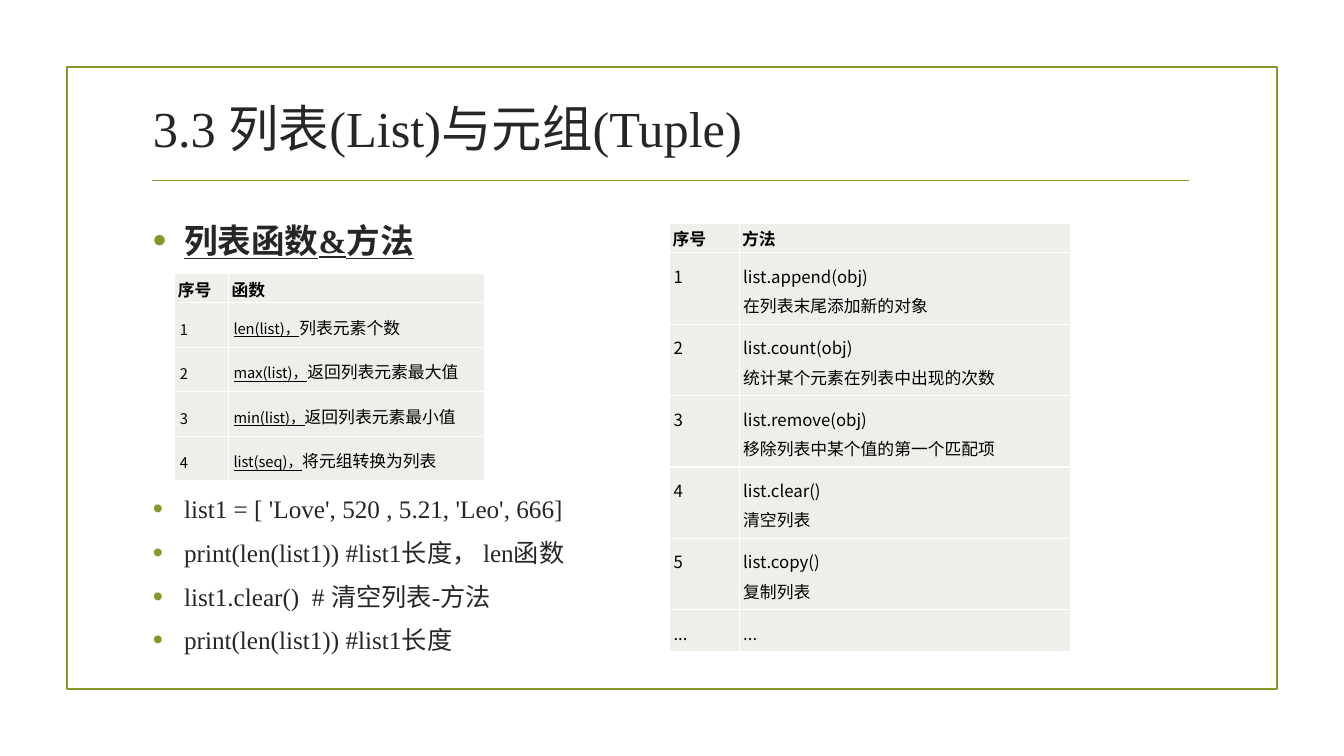
from lxml import etree
from pptx import Presentation
from pptx.dml.color import RGBColor
from pptx.enum.shapes import MSO_CONNECTOR, MSO_SHAPE
from pptx.enum.text import MSO_ANCHOR
from pptx.oxml.ns import qn
from pptx.util import Emu, Inches, Pt

RECTANGLE = MSO_SHAPE.RECTANGLE
STRAIGHT = MSO_CONNECTOR.STRAIGHT
MIDDLE = MSO_ANCHOR.MIDDLE
TOP = MSO_ANCHOR.TOP

COLUMNS, ROWS = 80, 45
GREEN, INK, BLACK, WHITE, PALE = "83992A", "262626", "000000", "FFFFFF", "EDEFE8"
SERIF, SANS = "Times New Roman", "Noto Sans CJK SC"


def color(value):
    return RGBColor.from_string(value)


class SlideBuilder:
    """Places styled elements on a grid of 80 columns by 45 rows."""

    def __init__(self, deck):
        self.deck = deck
        self.page = deck.slides.add_slide(deck.slide_layouts[6])

    def x(self, columns):
        return Emu(round(self.deck.slide_width * columns / COLUMNS))

    def y(self, rows):
        return Emu(round(self.deck.slide_height * rows / ROWS))

    def area(self, left, top, width, height):
        return self.x(left), self.y(top), self.x(width), self.y(height)

    def outline(self, line):
        line.color.rgb = color(GREEN)
        line.width = Pt(1.25)

    def frame(self, *area):
        box = self.page.shapes.add_shape(RECTANGLE, *self.area(*area))
        box.shadow.inherit = False
        box.fill.background()
        self.outline(box.line)

    def rule(self, left, right, row):
        rule = self.page.shapes.add_connector(
            STRAIGHT, self.x(left), self.y(row), self.x(right), self.y(row))
        self.outline(rule.line)
        etree.SubElement(rule.element.spPr, qn("a:effectLst"))

    def style(self, font, size, face, ink, bold, underline):
        font.size, font.name = Pt(size), face
        font.bold, font.underline = bold, underline
        font.color.rgb = color(ink)

    def add_words(self, para, text, size, face=SERIF, ink=INK, bold=False, underline=False):
        """Adds text to a paragraph, with a line break at each newline."""
        look = (size, face, ink, bold, underline)
        self.style(para.font, *look)
        for index, line in enumerate(text.split("\n")):
            if index:
                para.add_line_break()
            span = para.add_run()
            span.text = line
            self.style(span.font, *look)
            east_asian = etree.Element(qn("a:ea"), typeface=SANS)
            span.font._element.find(qn("a:latin")).addnext(east_asian)

    def bullet(self, para):
        props = para._p.get_or_add_pPr()
        indent = Inches(0.31)
        props.set("marL", str(indent))
        props.set("indent", str(-indent))
        tint = etree.SubElement(props, qn("a:buClr"))
        etree.SubElement(tint, qn("a:srgbClr"), val=GREEN)
        etree.SubElement(props, qn("a:buSzPct"), val="115000")
        etree.SubElement(props, qn("a:buFont"), typeface="Arial")
        etree.SubElement(props, qn("a:buChar"), char="•")

    def text(self, area, lines, size, bulleted=True, pitch=None, gap=0,
             anchor=TOP, **look):
        frame = self.page.shapes.add_textbox(*self.area(*area)).text_frame
        frame.word_wrap = True
        frame.vertical_anchor = anchor
        frame.margin_left = frame.margin_right = 0
        frame.margin_top = frame.margin_bottom = 0
        for index, line in enumerate(lines):
            para = frame.add_paragraph() if index else frame.paragraphs[0]
            if bulleted:
                self.bullet(para)
            if pitch:
                para.line_spacing = Pt(pitch)
            para.space_after = Pt(gap)
            self.add_words(para, line, size, **look)

    def borders(self, cell):
        props = cell._tc.get_or_add_tcPr()
        for index, side in enumerate(("lnL", "lnR", "lnT", "lnB")):
            line = etree.Element(qn(f"a:{side}"), w=str(Pt(1)))
            fill = etree.SubElement(line, qn("a:solidFill"))
            etree.SubElement(fill, qn("a:srgbClr"), val=WHITE)
            props.insert(index, line)

    def table(self, left, top, widths, heights, header, body, insets):
        """Each body cell is a list of (text, size, underline) spans."""
        records = [[[(title, 12, False)] for title in header]] + body
        table = self.page.shapes.add_table(
            len(records), len(widths),
            *self.area(left, top, sum(widths), sum(heights))).table
        table.first_row = table.horz_banding = False
        for column, width in zip(table.columns, widths):
            column.width = self.x(width)
        for number, (row, height, record) in enumerate(zip(table.rows, heights, records)):
            row.height = self.y(height)
            side, edge = insets if number else (0.03, 0.03)
            for cell, spans in zip(row.cells, record):
                cell.margin_left = cell.margin_right = Inches(side)
                cell.margin_top = cell.margin_bottom = Inches(edge)
                cell.fill.solid()
                cell.fill.fore_color.rgb = color(PALE)
                self.borders(cell)
                para = cell.text_frame.paragraphs[0]
                if number:
                    para.line_spacing = Pt(21)
                for text, size, underline in spans:
                    self.add_words(para, text, size, SANS, BLACK, number == 0, underline)


def main():
    deck = Presentation()
    deck.slide_width, deck.slide_height = Inches(13.33), Inches(7.5)
    slide = SlideBuilder(deck)

    # Frame, title and rule
    slide.frame(4, 4, 72, 37)
    slide.rule(9.05, 70.8, 10.75)
    slide.text((9.1, 5.3, 61.8, 4.5), ["3.3 列表(List)与元组(Tuple)"], 36,
               bulleted=False, anchor=MIDDLE)

    # Heading and code lines
    slide.text((9.1, 13.15, 29, 2.5), ["列表函数&方法"], 24, pitch=28,
               bold=True, underline=True)
    slide.text((9.1, 29.35, 29, 11), [
        "list1 = [ 'Love', 520 , 5.21, 'Leo', 666]",
        "print(len(list1)) #list1长度， len函数",
        "list1.clear()  # 清空列表-方法",
        "print(len(list1)) #list1长度",
    ], 18, pitch=22, gap=9.2)

    # Table of functions
    functions = [("len(list)", "列表元素个数"), ("max(list)", "返回列表元素最大值"),
                 ("min(list)", "返回列表元素最小值"), ("list(seq)", "将元组转换为列表")]
    function_rows = [
        [[(str(number), 10.5, False)], [(f"{call}，", 10.5, True), (effect, 12, False)]]
        for number, (call, effect) in enumerate(functions, 1)]
    slide.table(10.4, 16.28, [3.2, 15.25], [1.75] + [2.65] * 4,
                ["序号", "函数"], function_rows, (0.05, 0.07))

    # Table of methods
    methods = [("append(obj)", "在列表末尾添加新的对象"),
               ("count(obj)", "统计某个元素在列表中出现的次数"),
               ("remove(obj)", "移除列表中某个值的第一个匹配项"),
               ("clear()", "清空列表"), ("copy()", "复制列表")]
    method_rows = [
        [[(str(number), 12, False)], [(f"list.{call}\n{effect}", 12, False)]]
        for number, (call, effect) in enumerate(methods, 1)]
    method_rows.append([[("...", 12, False)]] * 2)
    slide.table(39.85, 13.3, [4.15, 19.7], [1.75] + [4.25] * 5 + [2.45],
                ["序号", "方法"], method_rows, (0.04, 0.06))

    deck.save("out.pptx")


if __name__ == "__main__":
    main()
